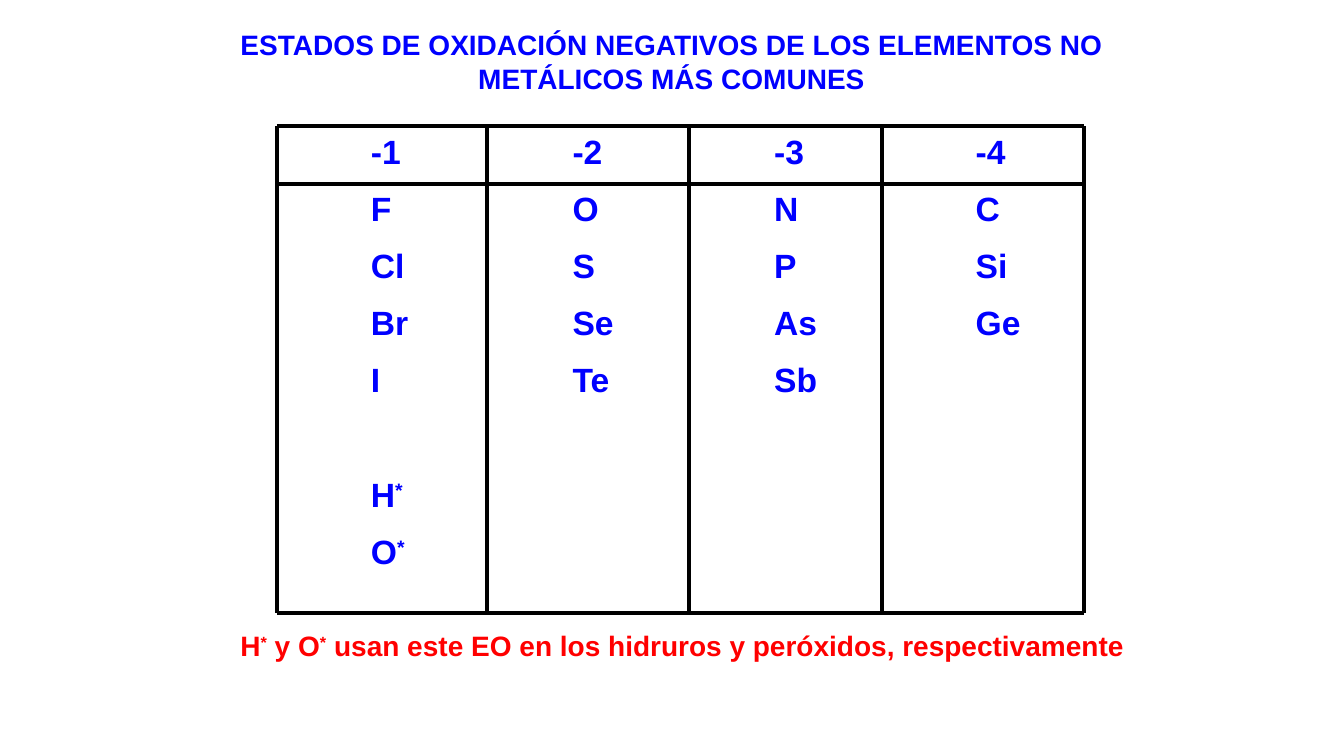
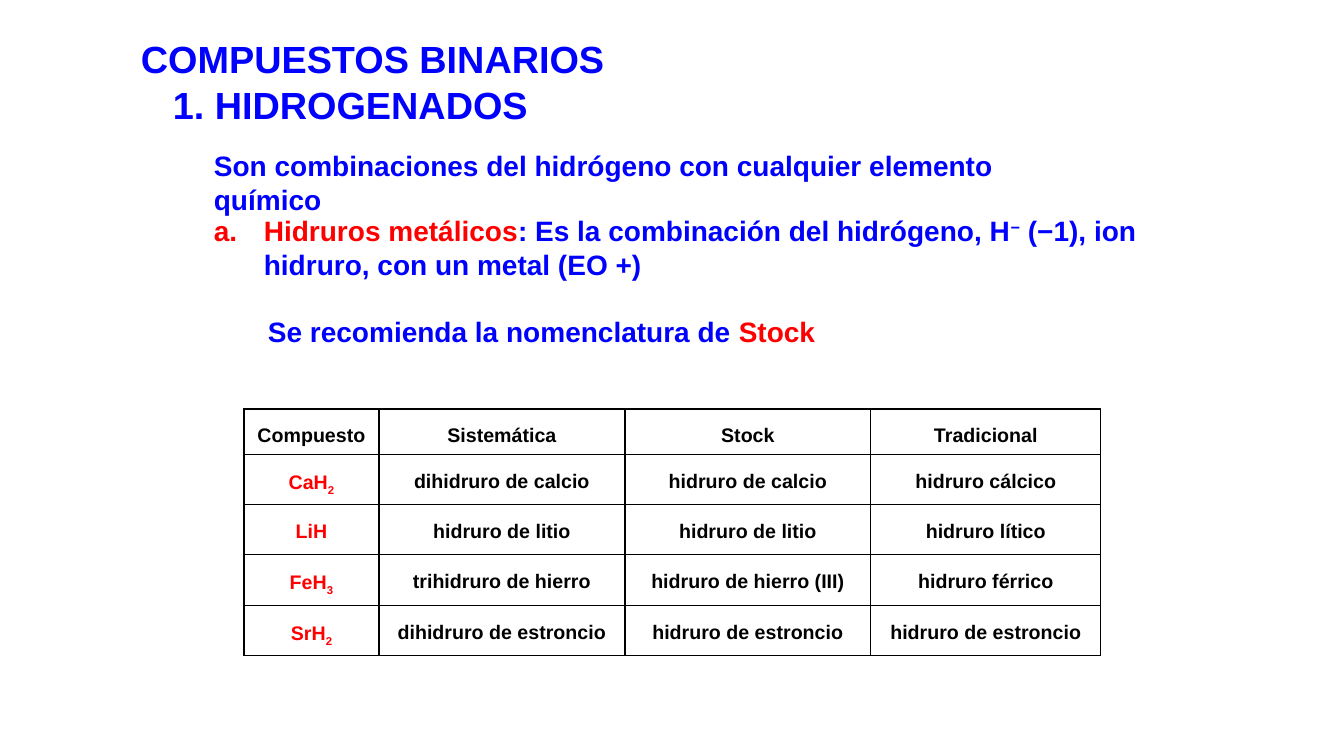
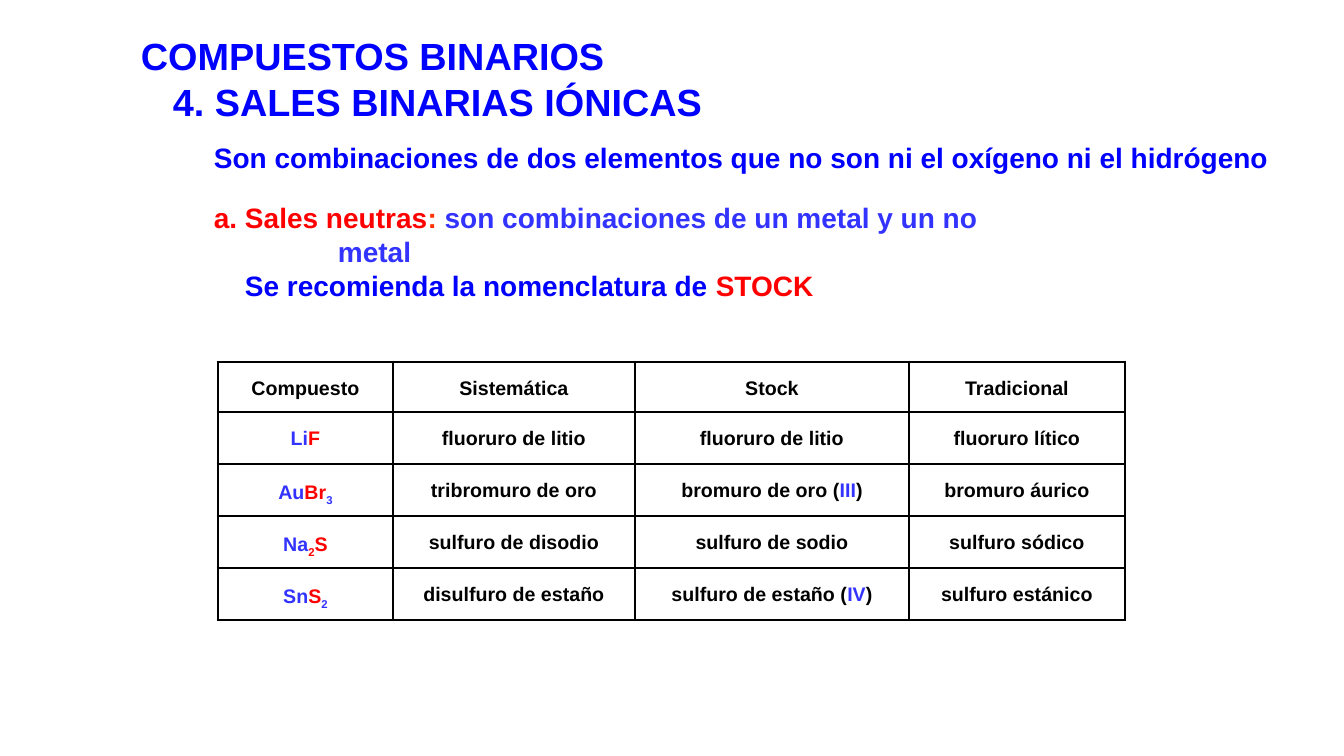
from dataclasses import dataclass
from pptx import Presentation
from pptx.dml.color import RGBColor
from pptx.enum.shapes import MSO_CONNECTOR
from pptx.enum.text import PP_ALIGN
from pptx.oxml import parse_xml
from pptx.oxml.ns import nsdecls
from pptx.util import Emu, Pt

BLUE = RGBColor(0x00, 0x00, 0xFF)
LIGHT_BLUE = RGBColor(0x33, 0x33, 0xFF)
RED = RGBColor(0xFF, 0x00, 0x00)
ORANGE = RGBColor(0xFF, 0x33, 0x00)
BLACK = RGBColor(0x00, 0x00, 0x00)
WHITE = RGBColor(0xFF, 0xFF, 0xFF)

FONT = "Arial"
LEADING = 1.2
THICK, THIN = 2.25, 1
SUPER, SUB = 30000, -25000
HEADINGS = ["Compuesto", "Sistemática", "Stock", "Tradicional"]


@dataclass
class Para:
    runs: list
    indent: int = 0
    before: float = 0
    numbered: bool = False
    tabs: tuple = ()


def px(n):
    return Emu(round(n * 914400 / 100.8))


def run(text, color=None, baseline=0):
    return text, color, baseline


def add_runs(p, runs, size, color):
    for text, run_color, baseline in runs:
        r = p.add_run()
        r.text = text
        for name, value in {"name": FONT, "size": Pt(size), "bold": True}.items():
            setattr(r.font, name, value)
        r.font.color.rgb = run_color or color
        if baseline:
            r.font._element.set("baseline", str(baseline))


def write(tf, paras, size, color, align=PP_ALIGN.LEFT, spacing=None):
    for i, para in enumerate(paras):
        p = tf.paragraphs[0] if i == 0 else tf.add_paragraph()
        pPr = p._p.get_or_add_pPr()
        if para.indent:
            pPr.set("marL", str(px(para.indent)))
        if para.numbered:
            pPr.set("indent", str(-px(para.indent)))
            pPr.append(parse_xml(f'<a:buAutoNum {nsdecls("a")} type="alphaLcPeriod"/>'))
        if para.tabs:
            stops = "".join(f'<a:tab pos="{px(x)}" algn="l"/>' for x in para.tabs)
            pPr.append(parse_xml(f'<a:tabLst {nsdecls("a")}>{stops}</a:tabLst>'))
        look = {"alignment": align, "line_spacing": spacing or Pt(size * LEADING),
                "space_before": Pt(para.before)}
        for name, value in look.items():
            setattr(p, name, value)
        add_runs(p, para.runs, size, color)


def add_text(s, box, paras, size=20, color=BLUE, align=PP_ALIGN.LEFT):
    tf = s.shapes.add_textbox(*map(px, box)).text_frame
    tf.word_wrap = True
    write(tf, paras, size, color, align)


def add_title(s, y, section):
    lines = [Para([run("COMPUESTOS BINARIOS")]), Para([run(section)], indent=32)]
    add_text(s, (131, y, 640, 102), lines, size=27)


def add_line(s, x1, y1, x2, y2):
    line = s.shapes.add_connector(MSO_CONNECTOR.STRAIGHT, *map(px, (x1, y1, x2, y2)))
    line.line.color.rgb = BLACK
    line.line.width = Pt(THICK)
    line._element.spPr.append(parse_xml(f'<a:effectLst {nsdecls("a")}/>'))


def set_borders(cell, widths):
    tcPr = cell._tc.get_or_add_tcPr()
    for i, (side, width) in enumerate(zip("LRTB", widths)):
        tcPr.insert(i, parse_xml(
            f'<a:ln{side} {nsdecls("a")} w="{Pt(width)}"><a:solidFill>'
            f'<a:srgbClr val="{BLACK}"/></a:solidFill></a:ln{side}>'))


def add_compounds(s, x, y, cols, rows, compounds, outer=THIN):
    frame = s.shapes.add_table(len(rows), len(cols), px(x), px(y), px(sum(cols)), px(sum(rows)))
    table = frame.table
    table.first_row = table.horz_banding = False
    for col, width in zip(table.columns, cols):
        col.width = px(width)
    for row, height in zip(table.rows, rows):
        row.height = px(height)
    for i, values in enumerate([HEADINGS] + compounds):
        for j, value in enumerate(values):
            cell = table.cell(i, j)
            cell.fill.solid()
            cell.fill.fore_color.rgb = WHITE
            edges = (j == 0, j == len(cols) - 1, i == 0, i == len(rows) - 1)
            set_borders(cell, [outer if edge else THIN for edge in edges])
            runs = [run(value)] if isinstance(value, str) else value
            write(cell.text_frame, [Para(runs)], 14, BLACK, PP_ALIGN.CENTER, spacing=1.5)


def oxidation_states(s):
    add_text(s, (180, 23, 983, 78),
             [Para([run("ESTADOS DE OXIDACIÓN NEGATIVOS DE LOS ELEMENTOS NO METÁLICOS MÁS COMUNES")])],
             align=PP_ALIGN.CENTER)
    star = run("*", None, SUPER)
    tabs = tuple(101 + 4 * 50.4 * i / 1 for i in range(4))
    rows = ["-1 -2 -3 -4", "F O N C", "Cl S P Si", "Br Se As Ge", "I Te Sb"]
    paras = [Para([run("".join("\t" + symbol for symbol in row.split()))],
                  before=12 if i else 0, tabs=tabs) for i, row in enumerate(rows)]
    paras += [Para([run("\t" + symbol), star], before=before, tabs=tabs)
              for symbol, before in (("H", 53), ("O", 12))]
    add_text(s, (260, 126, 857, 479), paras, size=24)
    note = [run("H"), star, run(" y O"), star,
            run(" usan este EO en los hidruros y peróxidos, respectivamente")]
    add_text(s, (216, 624, 933, 44), [Para(note)], color=RED, align=PP_ALIGN.CENTER)
    columns, levels = (277, 487, 689, 882, 1084), (126, 184, 613)
    for x in columns:
        add_line(s, x, levels[0], x, levels[-1])
    for y in levels:
        add_line(s, columns[0], y, columns[-1], y)


def hydrides(s):
    add_title(s, 31, "1. HIDROGENADOS")
    add_text(s, (204, 144, 900, 66),
             [Para([run("Son combinaciones del hidrógeno con cualquier elemento químico")])])
    definition = [run("Hidruros metálicos", RED),
                  run(": Es la combinación del hidrógeno, H"), run("−", None, SUPER),
                  run(" (−1), ion hidruro, con un metal (EO +)")]
    advice = [run("Se recomienda la nomenclatura de "), run("Stock", RED)]
    add_text(s, (204, 209, 961, 146),
             [Para(definition, indent=50, numbered=True), Para(advice, indent=54, before=24)])
    names = [
        ("CaH", "2", "dihidruro de calcio", "hidruro de calcio", "hidruro cálcico"),
        ("LiH", "", "hidruro de litio", "hidruro de litio", "hidruro lítico"),
        ("FeH", "3", "trihidruro de hierro", "hidruro de hierro (III)", "hidruro férrico"),
        ("SrH", "2", "dihidruro de estroncio", "hidruro de estroncio", "hidruro de estroncio"),
    ]
    compounds = [[[run(symbol, RED)] + ([run(count, RED, SUB)] if count else []), *rest]
                 for symbol, count, *rest in names]
    add_compounds(s, 244, 409, [135, 246, 246, 230], [45, 50, 50, 51, 50], compounds)


def ionic_salts(s):
    add_title(s, 28, "4. SALES BINARIAS IÓNICAS")
    add_text(s, (204, 136, 1077, 44),
             [Para([run("Son combinaciones de dos elementos que no son ni el oxígeno ni el hidrógeno")])])
    definition = [run("a. Sales neutras", RED), run(": ", ORANGE),
                  run("son combinaciones de un metal y un no", LIGHT_BLUE)]
    advice = [run("Se recomienda la nomenclatura de "), run("STOCK", RED)]
    add_text(s, (204, 196, 811, 111),
             [Para(definition), Para([run("metal", LIGHT_BLUE)], indent=124),
              Para(advice, indent=31)])
    compounds = [
        [[run("Li", LIGHT_BLUE), run("F", RED)],
         "fluoruro de litio", "fluoruro de litio", "fluoruro lítico"],
        [[run("Au", LIGHT_BLUE), run("Br", RED), run("3", LIGHT_BLUE, SUB)],
         "tribromuro de oro",
         [run("bromuro de oro ("), run("III", LIGHT_BLUE), run(")")], "bromuro áurico"],
        [[run("Na", LIGHT_BLUE), run("2", RED, SUB), run("S", RED)],
         "sulfuro de disodio", "sulfuro de sodio", "sulfuro sódico"],
        [[run("Sn", LIGHT_BLUE), run("S", RED), run("2", LIGHT_BLUE, SUB)],
         "disulfuro de estaño",
         [run("sulfuro de estaño ("), run("IV", LIGHT_BLUE), run(")")], "sulfuro estánico"],
    ]
    add_compounds(s, 218, 362, [175, 242, 274, 216], [50] + [52] * 4, compounds, outer=THICK)


def main():
    prs = Presentation()
    prs.slide_width, prs.slide_height = px(1344), px(756)
    for build in (oxidation_states, hydrides, ionic_salts):
        build(prs.slides.add_slide(prs.slide_layouts[6]))
    prs.save("out.pptx")


if __name__ == "__main__":
    main()
